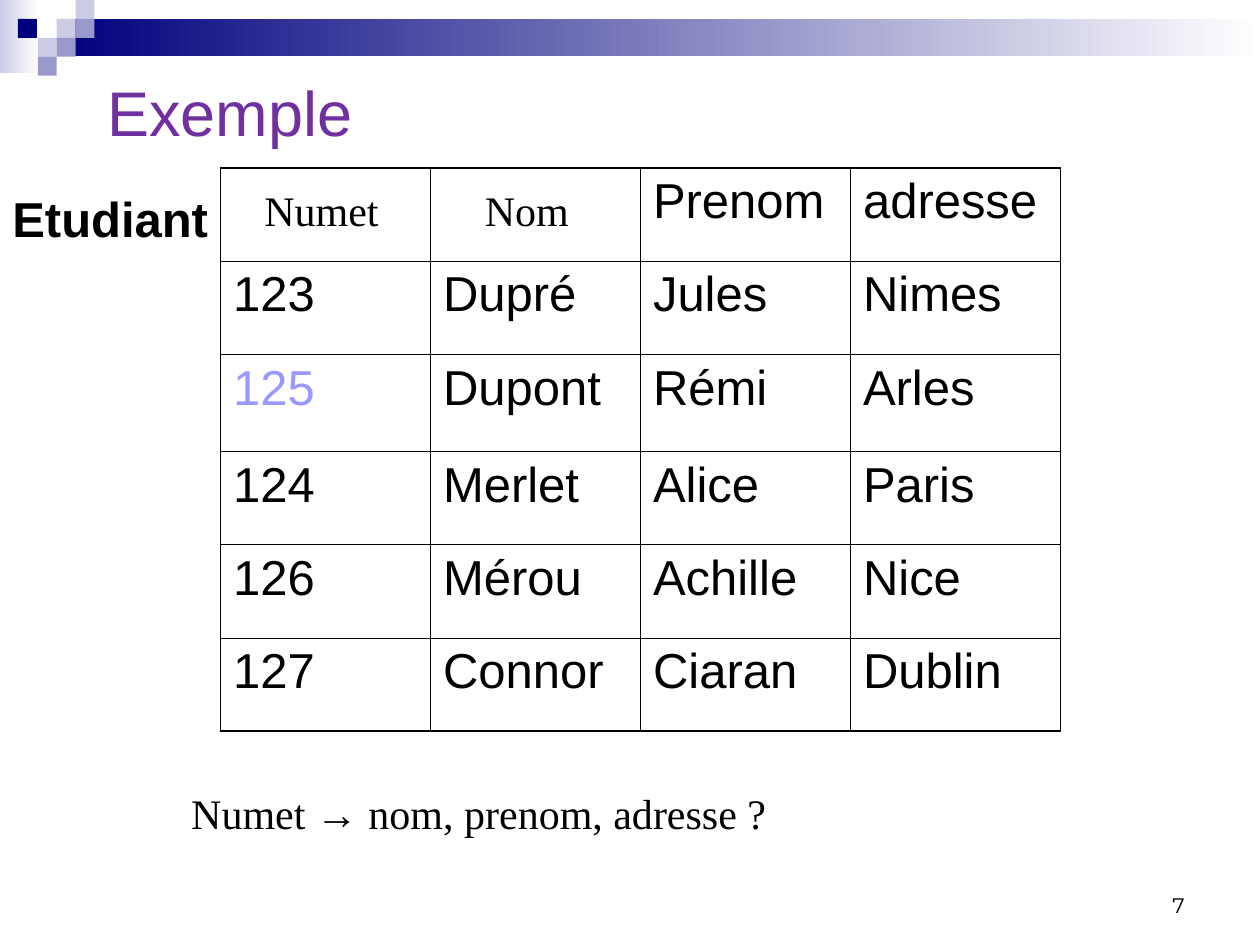
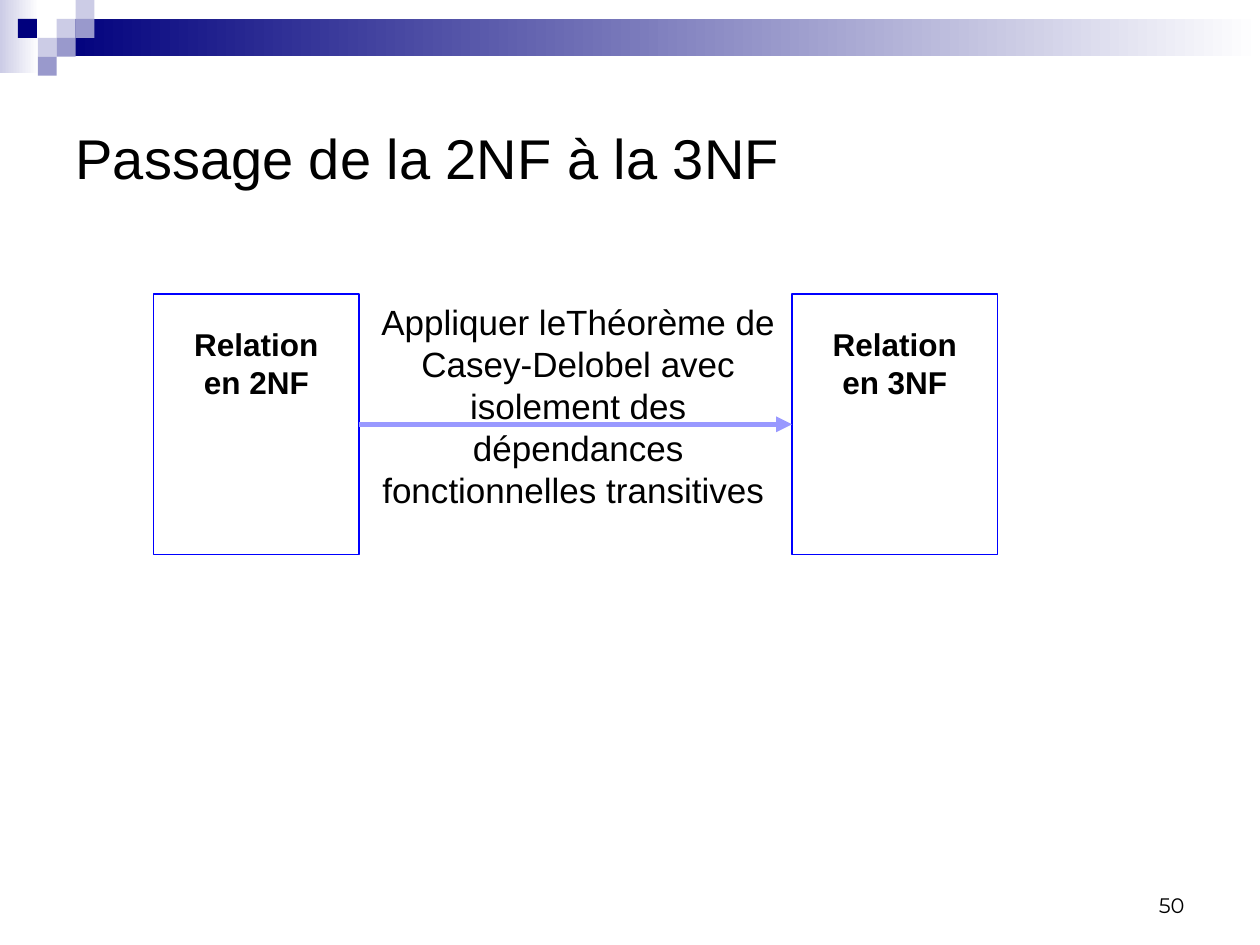
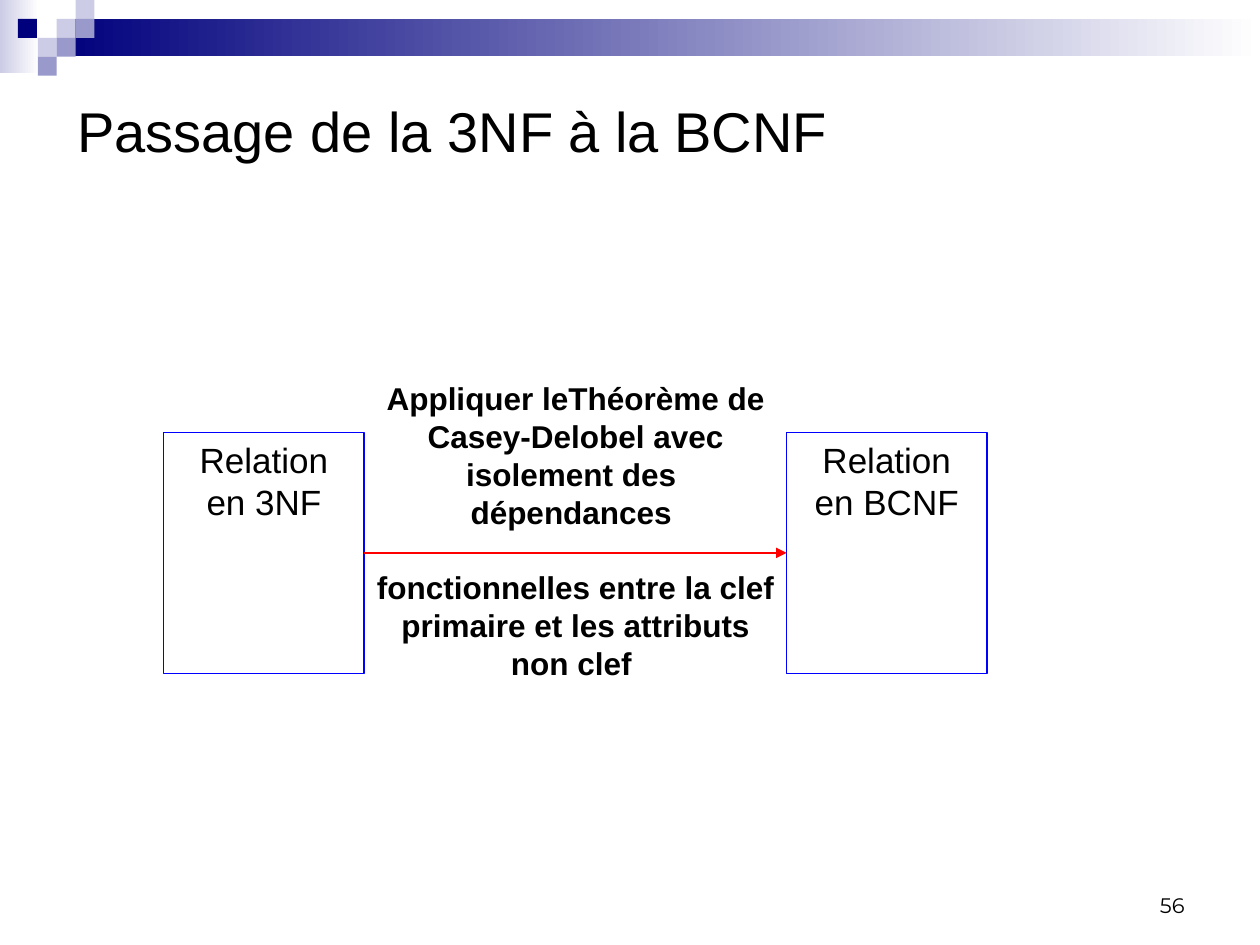
from dataclasses import dataclass
from typing import Any

from lxml.etree import SubElement
from pptx import Presentation
from pptx.dml.color import RGBColor
from pptx.enum.shapes import MSO_CONNECTOR as Link, MSO_SHAPE as Kind
from pptx.enum.text import MSO_ANCHOR as Anchor, MSO_AUTO_SIZE as Fit, PP_ALIGN as Align
from pptx.oxml import parse_xml
from pptx.oxml.ns import nsdecls, qn
from pptx.util import Pt

# Shared style
NAVY, LILAC, PALE, WHITE, BLACK = "00007D", "9999CC", "CCCCE6", "FFFFFF", "000000"
BLUE, RED, VIOLET, PURPLE = "0000FF", "FF0000", "9999FF", "7030A0"
SANS, SERIF, DIGIT = "Arial", "Times New Roman", "Montserrat"
UNIT = 10.8


@dataclass
class Box:
    left: float
    top: float
    width: float
    height: float

    @property
    def right(self) -> float:
        return self.left + self.width

    def pts(self) -> list[Pt]:
        return [Pt(v) for v in (self.left, self.top, self.width, self.height)]


@dataclass
class Tile:
    col: float
    row: int
    color: str


@dataclass
class Flow:
    """Two relations joined by an arrow, with a label between them."""
    start: Box
    end: Box
    label: Box
    names: tuple[str, str]
    note: list[str]
    color: str
    weight: float
    name_fmt: dict[str, Any]
    note_fmt: dict[str, Any]


BANDS = [
    (Box(0, 0, 22.3, 41.8), PALE),
    (Box(32.4, 10.8, 687.6, 21.3), NAVY),
]
TILES = [
    Tile(3, 1, PALE), Tile(4, 0, PALE), Tile(4, 1, LILAC), Tile(2, 2, PALE),
    Tile(0.95, 1, NAVY), Tile(3, 2, LILAC), Tile(2, 3, LILAC),
]


def rgb(code: str) -> RGBColor:
    return RGBColor.from_string(code)


def write(frame, paras: list, size: float = 18, font: str = SANS, color: str = BLACK,
          bold: bool = False, align=Align.LEFT, anchor=Anchor.TOP, wrap: bool = True,
          gaps: dict[int, float] | None = None, top: float = 3.6) -> None:
    """Fill a frame; a paragraph is a string or a list of (text, font) runs."""
    frame.word_wrap = wrap
    if not wrap:
        frame.auto_size = Fit.SHAPE_TO_FIT_TEXT
    frame.vertical_anchor = anchor
    frame.margin_top = Pt(top)
    for i, para in enumerate(paras):
        line = frame.paragraphs[0] if i == 0 else frame.add_paragraph()
        line.alignment = align
        line.space_before = Pt((gaps or {}).get(i, 0))
        for words, face in [(para, font)] if isinstance(para, str) else para:
            run = line.add_run()
            run.text = words
            run.font.size = Pt(size)
            run.font.name = face
            run.font.bold = bold
            run.font.color.rgb = rgb(color)


def label(slide, box: Box, paras: list, **fmt) -> None:
    write(slide.shapes.add_textbox(*box.pts()).text_frame, paras, **fmt)


def rect(slide, box: Box, fill: str = "", fade: str = "", line: str = ""):
    shape = slide.shapes.add_shape(Kind.RECTANGLE, *box.pts())
    shape.shadow.inherit = False
    if fade:
        shape.fill.gradient()
        shape.fill.gradient_angle = 0
        for stop, code in zip(shape.fill.gradient_stops, (fill, fade)):
            stop.color.rgb = rgb(code)
    elif fill:
        shape.fill.solid()
        shape.fill.fore_color.rgb = rgb(fill)
    else:
        shape.fill.background()
    if line:
        shape.line.color.rgb = rgb(line)
        shape.line.width = Pt(0.75)
    else:
        shape.line.fill.background()
    return shape


def arrow(slide, left: float, right: float, y: float, color: str, weight: float) -> None:
    link = slide.shapes.add_connector(Link.STRAIGHT, Pt(left), Pt(y), Pt(right), Pt(y))
    link.line.color.rgb = rgb(color)
    link.line.width = Pt(weight)
    SubElement(link.line._get_or_add_ln(), qn("a:tailEnd"), type="triangle")
    SubElement(link._element.spPr, qn("a:effectLst"))


def page(deck, title: str, box: Box, number: int, size: float = 32, color: str = BLACK):
    """Add a slide with the bands, the page number and the title."""
    slide = deck.slides.add_slide(deck.slide_layouts[5])
    for band, code in BANDS:
        rect(slide, band, code, WHITE)
    for tile in TILES:
        rect(slide, Box(tile.col * UNIT, tile.row * UNIT, UNIT, UNIT), tile.color)
    label(slide, Box(516, 492, 168, 36), [str(number)], size=12, font=DIGIT,
          align=Align.RIGHT, anchor=Anchor.BOTTOM)
    head = slide.shapes.title
    head.left, head.top, head.width, head.height = box.pts()
    write(head.text_frame, [title], size=size, color=color, anchor=Anchor.MIDDLE)
    return slide


def edge(cell, widths: dict[str, float]) -> None:
    """Draw the cell borders, given in the order L, R, T, B."""
    props = cell._tc.get_or_add_tcPr()
    for i, (side, width) in enumerate(widths.items()):
        props.insert(i, parse_xml(
            f'<a:ln{side} {nsdecls("a")} w="{Pt(width)}"><a:solidFill>'
            f'<a:srgbClr val="{BLACK}"/></a:solidFill></a:ln{side}>'))


def grid(slide, box: Box, rows: list[list[str]], highs: list[float], marks: dict[str, str]) -> None:
    last, end = len(rows) - 1, len(rows[0]) - 1
    table = slide.shapes.add_table(last + 1, end + 1, *box.pts()).table
    table.first_row = table.horz_banding = False
    for r, row in enumerate(rows):
        table.rows[r].height = Pt(highs[r])
        for c, words in enumerate(row):
            cell = table.cell(r, c)
            cell.fill.background()
            outer = {"L": c == 0, "R": c == end, "T": r == 0, "B": r == last}
            edge(cell, {side: 1.08 if out else 0.45 for side, out in outer.items()})
            if words:
                write(cell.text_frame, [words], size=28, color=marks.get(words, BLACK))


def draw(slide, flow: Flow) -> None:
    for box, name in zip((flow.start, flow.end), flow.names):
        shape = rect(slide, box, line=BLUE)
        write(shape.text_frame, ["Relation", name], align=Align.CENTER, **flow.name_fmt)
    mid = flow.start.top + flow.start.height / 2
    arrow(slide, flow.start.right, flow.end.left, mid, flow.color, flow.weight)
    label(slide, flow.label, flow.note, align=Align.CENTER, **flow.note_fmt)


# Slide content
ROWS = [
    ["", "", "Prenom", "adresse"],
    ["123", "Dupré", "Jules", "Nimes"],
    ["125", "Dupont", "Rémi", "Arles"],
    ["124", "Merlet", "Alice", "Paris"],
    ["126", "Mérou", "Achille", "Nice"],
    ["127", "Connor", "Ciaran", "Dublin"],
]
HIGHS = [53.3, 53.3, 55.4, 53.3, 53.3, 53.3]
HEADS = [("Numet", Box(144, 102.2, 81, 36)), ("Nom", Box(270, 102.2, 63.5, 36))]

TO_3NF = Flow(
    Box(87.8, 168, 117.4, 149), Box(452.6, 168, 117.4, 149),
    Box(206.6, 168, 247.7, 229.7), ("en 2NF", "en 3NF"),
    ["Appliquer leThéorème de Casey-Delobel avec isolement des dépendances "
     "fonctionnelles transitives "],
    VIOLET, 3, {"bold": True, "top": 18}, {"size": 20})

TO_BCNF = Flow(
    Box(93.6, 247.2, 114.5, 137.5), Box(449.5, 247.2, 114.5, 137.5),
    Box(208, 213.3, 241.9, 238.3), ("en 3NF", "en BCNF"),
    ["Appliquer leThéorème de Casey-Delobel avec isolement des ", "dépendances ",
     "fonctionnelles entre la clef primaire et les attributs non clef "],
    RED, 0.75, {"size": 20}, {"bold": True, "gaps": {2: 21.5}})


def main() -> None:
    deck = Presentation()
    deck.slide_width, deck.slide_height = Pt(720), Pt(540)

    # Example table
    slide = page(deck, "Exemple", Box(54, 37.4, 612, 52.6), 7, 36, PURPLE)
    grid(slide, Box(126, 96, 480, sum(HIGHS)), ROWS, HIGHS, {"125": VIOLET})
    label(slide, Box(0, 104, 126.5, 41), ["Etudiant"], size=28, bold=True, wrap=False)
    for name, box in HEADS:
        label(slide, box, [name], size=24, font=SERIF, wrap=False)
    label(slide, Box(102.2, 446.4, 372.2, 64.8),
          [[("Numet ", SERIF), ("→", SANS), (" nom, prenom, adresse ?", SERIF)]], size=24)

    # Normal form steps
    draw(page(deck, "Passage de la 2NF à la 3NF", Box(36, 36, 648, 108), 50), TO_3NF)
    draw(page(deck, "Passage de la 3NF à la BCNF", Box(36.9, 20.2, 648, 108), 56), TO_BCNF)

    deck.save("out.pptx")


if __name__ == "__main__":
    main()
